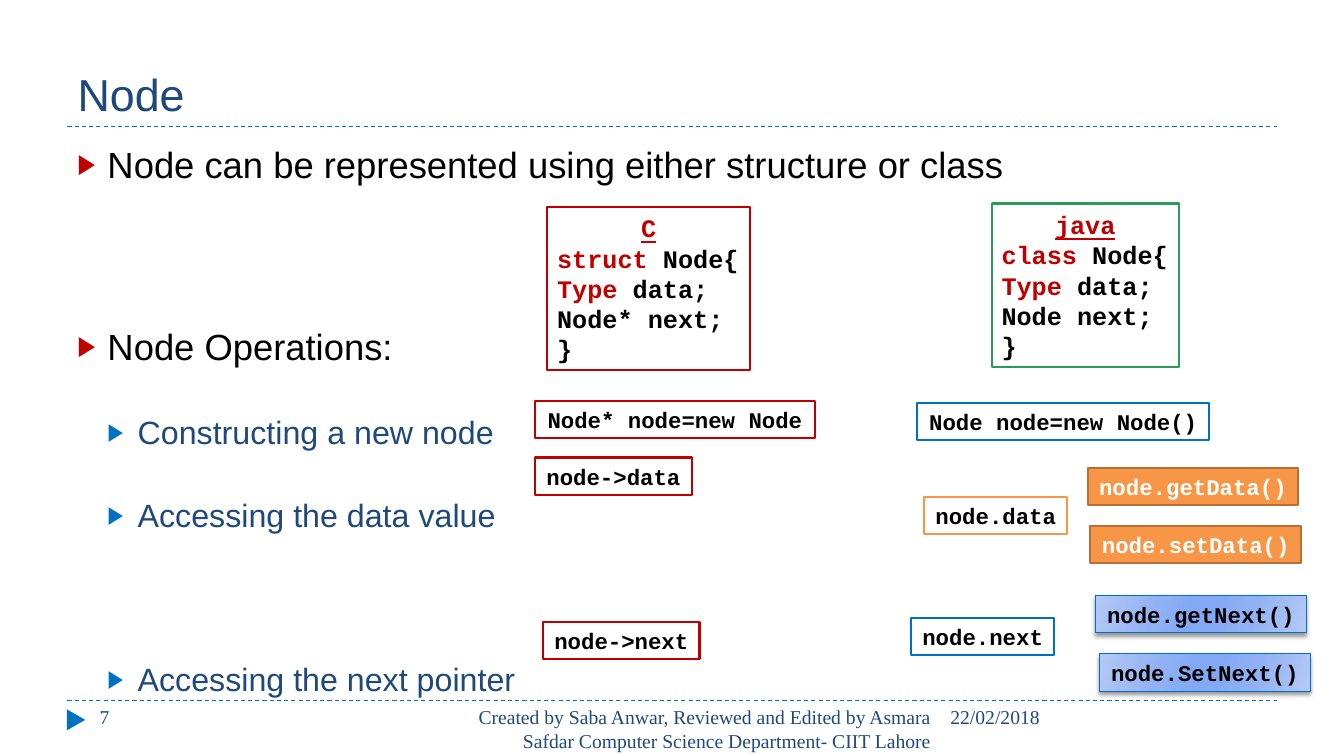
from lxml import etree
from pptx import Presentation
from pptx import util as u
from pptx.dml.color import RGBColor
from pptx.enum import dml, shapes, text
from pptx.oxml import parse_xml
from pptx.oxml.ns import nsdecls, qn

RED, BLUE, NAVY, GREEN = "C00000", "0070C0", "1F497D", "279D57"
ORANGE, BROWN, BLACK, WHITE = "F79646", "B76F34", "000000", "FFFFFF"
SANS, SERIF, MONO = "Arial", "Times New Roman", "Courier New"
LEFT, RIGHT, WIDE = 1.7, 32.18, 30.48
FOOT = 17.65
STOPS = [(0, "B4C9F6"), (30, "90B1F4"), (45, "83A9F4"),
         (55, "83A9F4"), (73, "90B1F4"), (100, "B4C9F6")]


def color(code):
    """Turn a hex string into a colour."""
    return RGBColor.from_string(code)


def cm(*sizes):
    """Turn numbers into lengths."""
    return [u.Cm(size) for size in sizes]


def write(para, words, size=16, font=SANS, ink=BLACK, bold=False,
          under=False, align="LEFT"):
    """Add one run of formatted text to a paragraph."""
    para.alignment = getattr(text.PP_ALIGN, align)
    run = para.add_run()
    run.text = words
    face = run.font
    face.size, face.name = u.Pt(size), font
    face.bold, face.underline = bold, under
    face.color.rgb = color(ink)


def label(slide, box, words, **form):
    """Add a wrapping text box with one paragraph."""
    frame = slide.shapes.add_textbox(*cm(*box)).text_frame
    frame.word_wrap = True
    write(frame.paragraphs[0], words, **form)


def rule(slide, top):
    """Draw a dashed line across the slide."""
    line = slide.shapes.add_connector(
        shapes.MSO_CONNECTOR.STRAIGHT, *cm(LEFT, top, RIGHT, top))
    line.line.color.rgb = color(BLUE)
    line.line.width = u.Pt(0.75)
    line.line.dash_style = dml.MSO_LINE.DASH
    etree.SubElement(line._element.spPr, qn("a:effectLst"))


def block(slide, box, fill=WHITE, edge=None, width=1.5, kind="RECTANGLE"):
    """Add a flat preset shape."""
    shape = slide.shapes.add_shape(
        getattr(shapes.MSO_SHAPE, kind), *cm(*box))
    shape.shadow.inherit = False
    shape.fill.solid()
    shape.fill.fore_color.rgb = color(fill)
    if edge:
        shape.line.color.rgb = color(edge)
        shape.line.width = u.Pt(width)
    else:
        shape.line.fill.background()
    return shape


def fit(shape):
    """Let a shape grow with its unwrapped text and return the frame."""
    frame = shape.text_frame
    frame.word_wrap = False
    frame.auto_size = text.MSO_AUTO_SIZE.SHAPE_TO_FIT_TEXT
    return frame


def tag(slide, left, top, width, words, edge, fill=WHITE, ink=BLACK, line=1.5):
    """Add a box that holds one line of code."""
    shape = block(slide, (left, top, width, 0.94), fill, edge, line)
    write(fit(shape).paragraphs[0], words, font=MONO, ink=ink, bold=True,
          align="CENTER")
    return shape


def gloss(shape):
    """Give a shape a blue gradient and a soft shadow."""
    props = shape._element.spPr
    stops = "".join(
        f'<a:gs pos="{spot * 1000}"><a:srgbClr val="{code}"/></a:gs>'
        for spot, code in STOPS)
    grad = parse_xml(f'<a:gradFill {nsdecls("a")}><a:gsLst>{stops}</a:gsLst>'
                     '<a:lin ang="960000" scaled="0"/></a:gradFill>')
    props.replace(props.find(qn("a:solidFill")), grad)
    shade = etree.SubElement(
        props.find(qn("a:effectLst")), qn("a:outerShdw"), blurRad="38100",
        dist="25400", dir="5400000", rotWithShape="0")
    ink = etree.SubElement(shade, qn("a:srgbClr"), val=BLACK)
    etree.SubElement(ink, qn("a:alpha"), val="40000")


def code(slide, box, edge, name, lines):
    """Add a listing with a heading; each line is (keyword, rest)."""
    frame = fit(block(slide, box, edge=edge))
    form = dict(size=18, font=MONO, bold=True)
    write(frame.paragraphs[0], name, ink=RED, under=True, align="CENTER",
          **form)
    for key, rest in lines:
        para = frame.add_paragraph()
        if key:
            write(para, key, ink=RED, **form)
        write(para, rest, **form)


def bullet(para, level, gap):
    """Set indent, spacing and arrow bullet of a paragraph."""
    para.level = level
    para.space_before = u.Pt(gap)
    para.line_spacing = 1.9 if level else 1.0
    props = para._p.get_or_add_pPr()
    props.set("marL", str(u.Cm(0.76 * (level + 1))))
    props.set("indent", str(u.Cm(-0.76)))
    tint = etree.SubElement(props, qn("a:buClr"))
    etree.SubElement(tint, qn("a:srgbClr"), val=BLUE if level else RED)
    etree.SubElement(props, qn("a:buSzPct"), val="76000")
    etree.SubElement(props, qn("a:buFont"), typeface=SANS)
    etree.SubElement(props, qn("a:buChar"), char="\u25b6")


def body(slide, items):
    """Add the bullet list; each item is (level, gap, words)."""
    frame = slide.shapes.add_textbox(*cm(LEFT, 3.45, WIDE, 13.72)).text_frame
    frame.word_wrap = True
    for spot, (level, gap, words) in enumerate(items):
        para = frame.add_paragraph() if spot else frame.paragraphs[0]
        bullet(para, level, gap)
        write(para, words, size=23 if level else 26,
              ink=NAVY if level else BLACK)


def head(slide, words):
    """Place and format the title."""
    title = slide.shapes.title
    title.left, title.top, title.width, title.height = cm(
        LEFT, 0.43, WIDE, 2.74)
    frame = title.text_frame
    frame.vertical_anchor = text.MSO_ANCHOR.BOTTOM
    write(frame.paragraphs[0], words, size=32, ink=NAVY)


def foot(slide):
    """Add the marker, page number, credit and date."""
    mark = block(slide, (1.65, 17.91, 0.53, 0.46), BLUE,
                 kind="ISOSCELES_TRIANGLE")
    mark.rotation = 90
    form = dict(size=14, font=SERIF, ink=NAVY)
    label(slide, (23.7, FOOT, 8.48, 1.02), "22/02/2018", **form)
    label(slide, (10.74, FOOT, 12.98, 1.02),
          "Created by Saba Anwar, Reviewed and Edited by Asmara Safdar "
          "Computer Science Department- CIIT Lahore", align="RIGHT", **form)
    label(slide, (2.26, FOOT, 7.34, 1.02), "7", **form)


def main():
    """Build the slide and save it."""
    deck = Presentation()
    deck.slide_width, deck.slide_height = cm(33.87, 19.05)
    slide = deck.slides.add_slide(deck.slide_layouts[5])
    for top in (FOOT, 3.18):
        rule(slide, top)
    head(slide, "Node")
    foot(slide)
    body(slide, [
        (0, 0, "Node can be represented using either structure or class"),
        (0, 99, "Node Operations:"),
        (1, 7, "Constructing a new node"),
        (1, 7, "Accessing the data value"),
        (1, 65, "Accessing the next pointer")])
    code(slide, (13.79, 5.21, 5.11, 4.11), RED, "C", [
        ("struct ", "Node{"), ("Type ", "data;"),
        ("", "Node* next;"), ("", "}")])
    code(slide, (24.99, 5.13, 4.72, 4.11), GREEN, "java", [
        ("class ", "Node{"), ("Type ", "data;"),
        ("", "Node next;"), ("", "}")])
    for row in [(13.49, 10.11, 7.04, "Node* node=new Node", RED),
                (23.11, 10.16, 7.37, "Node node=new Node()", BLUE),
                (13.49, 11.53, 3.94, "node->data", RED),
                (23.29, 12.52, 3.61, "node.data", ORANGE),
                (13.69, 15.67, 3.94, "node->next", RED),
                (22.96, 15.57, 3.61, "node.next", BLUE)]:
        tag(slide, *row)
    for left, top, words in [(27.41, 11.79, "node.getData()"),
                             (27.48, 13.26, "node.setData()")]:
        tag(slide, left, top, 5.31, words, BROWN, ORANGE, WHITE)
    for left, top, words in [(27.61, 15.01, "node.getNext()"),
                             (27.71, 16.48, "node.SetNext()")]:
        gloss(tag(slide, left, top, 5.31, words, BLUE, line=0.75))
    deck.save("out.pptx")


main()
